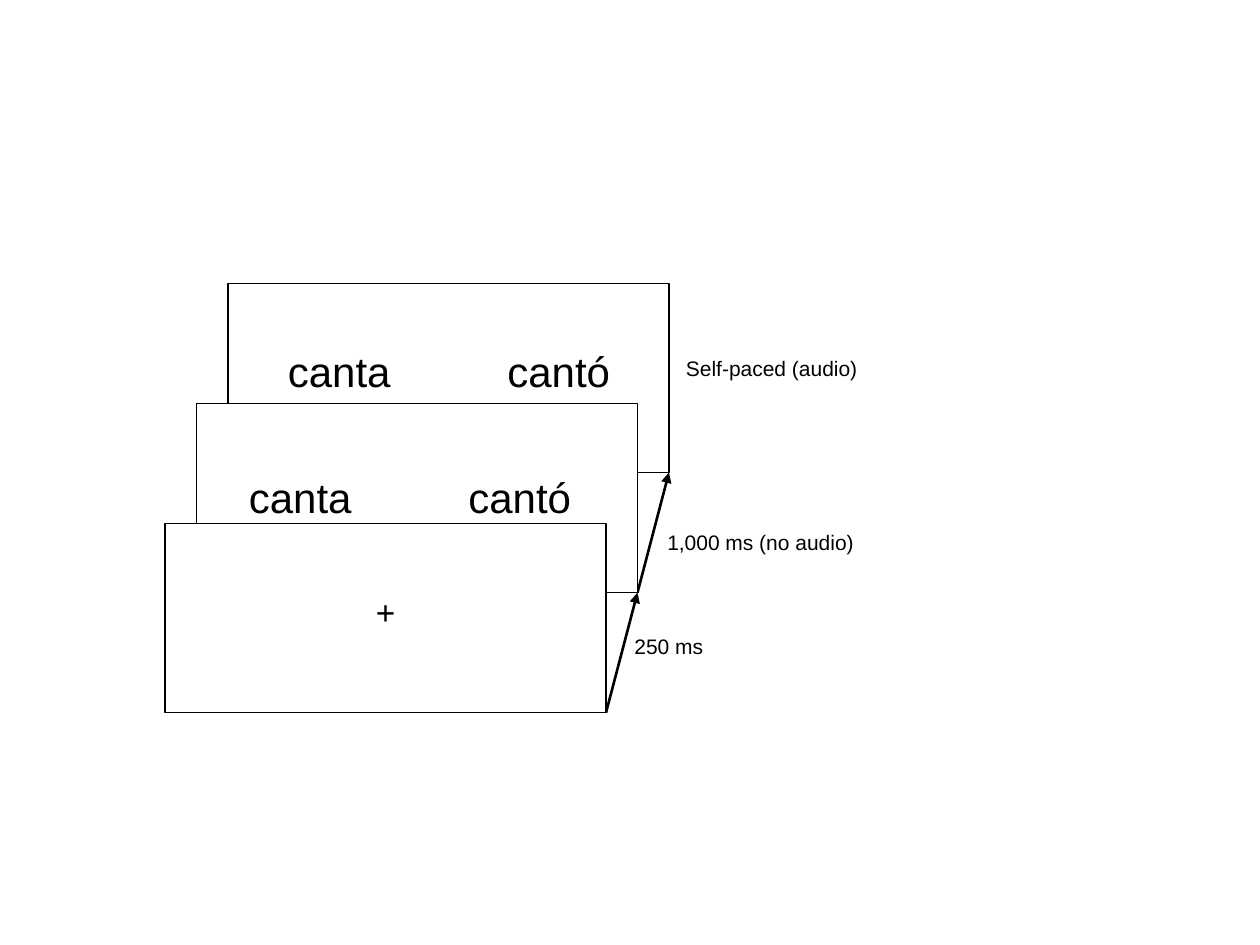
from pptx import Presentation
from pptx.util import Pt
from pptx.dml.color import RGBColor
from pptx.enum.shapes import MSO_CONNECTOR, MSO_SHAPE
from pptx.enum.text import PP_ALIGN
from pptx.oxml.ns import qn
from lxml import etree

STRAIGHT = MSO_CONNECTOR.STRAIGHT
PROCESS = MSO_SHAPE.FLOWCHART_PROCESS
LEFT, CENTER = PP_ALIGN.LEFT, PP_ALIGN.CENTER
BLACK = RGBColor(0x00, 0x00, 0x00)
WHITE = RGBColor(0xFF, 0xFF, 0xFF)

# Screens step up and to the right, the front one first
SCREEN_W, SCREEN_H = 252, 108
screens = [(94.3 + 18 * i, 299.3 - 68.65 * i) for i in range(3)]

prs = Presentation()
prs.slide_width, prs.slide_height = Pt(720), Pt(540)
s = prs.slides.add_slide(prs.slide_layouts[6])


def add_text(text, x, y, w, h, size, font="Arial", bold=False, align=LEFT,
             inset=0, tab=None):
    tf = s.shapes.add_textbox(Pt(x), Pt(y), Pt(w), Pt(h)).text_frame
    tf.word_wrap = True
    tf.margin_left = tf.margin_right = Pt(inset)
    p = tf.paragraphs[0]
    p.text = text
    p.alignment = align
    if tab:
        tabs = etree.SubElement(p._p.get_or_add_pPr(), qn("a:tabLst"))
        etree.SubElement(tabs, qn("a:tab"), pos=str(Pt(tab)), algn="l")
    p.font.name, p.font.size, p.font.bold = font, Pt(size), bold
    p.font.color.rgb = BLACK


# Arrows between the lower right corners
corners = [(x + SCREEN_W, y + SCREEN_H) for x, y in screens]
for start, end in zip(corners, corners[1:]):
    arrow = s.shapes.add_connector(STRAIGHT, *(Pt(v) for v in start + end))
    arrow.line.color.rgb = BLACK
    arrow.line.width = Pt(1.5)
    etree.SubElement(arrow.line._get_or_add_ln(), qn("a:tailEnd"), type="triangle")
    etree.SubElement(arrow._element.spPr, qn("a:effectLst"))

# Screens, from back to front
for x, y in reversed(screens):
    sp = s.shapes.add_shape(PROCESS, Pt(x), Pt(y), Pt(SCREEN_W), Pt(SCREEN_H))
    sp.shadow.inherit = False
    sp.fill.solid()
    sp.fill.fore_color.rgb = WHITE
    sp.line.color.rgb = BLACK
    sp.line.width = Pt(0.75)

# Fixation cross
add_text("+", 94.3, 334, SCREEN_W, 36, 20, "Times New Roman", True, CENTER, 7.2)

# Word pairs
for x, y in [(142.2, 265.7), (164.5, 193.7)]:
    add_text("canta\tcantó", x, y, 204, 36, 24, tab=125.4)

# Durations
for text, x, y, w in [
    ("250 ms", 362.5, 358.6, 74),
    ("1,000 ms (no audio)", 381.3, 299.3, 146),
    ("Self-paced (audio)", 392, 199.4, 114),
]:
    add_text(text, x, y, w, 27, 12)

prs.save("out.pptx")
